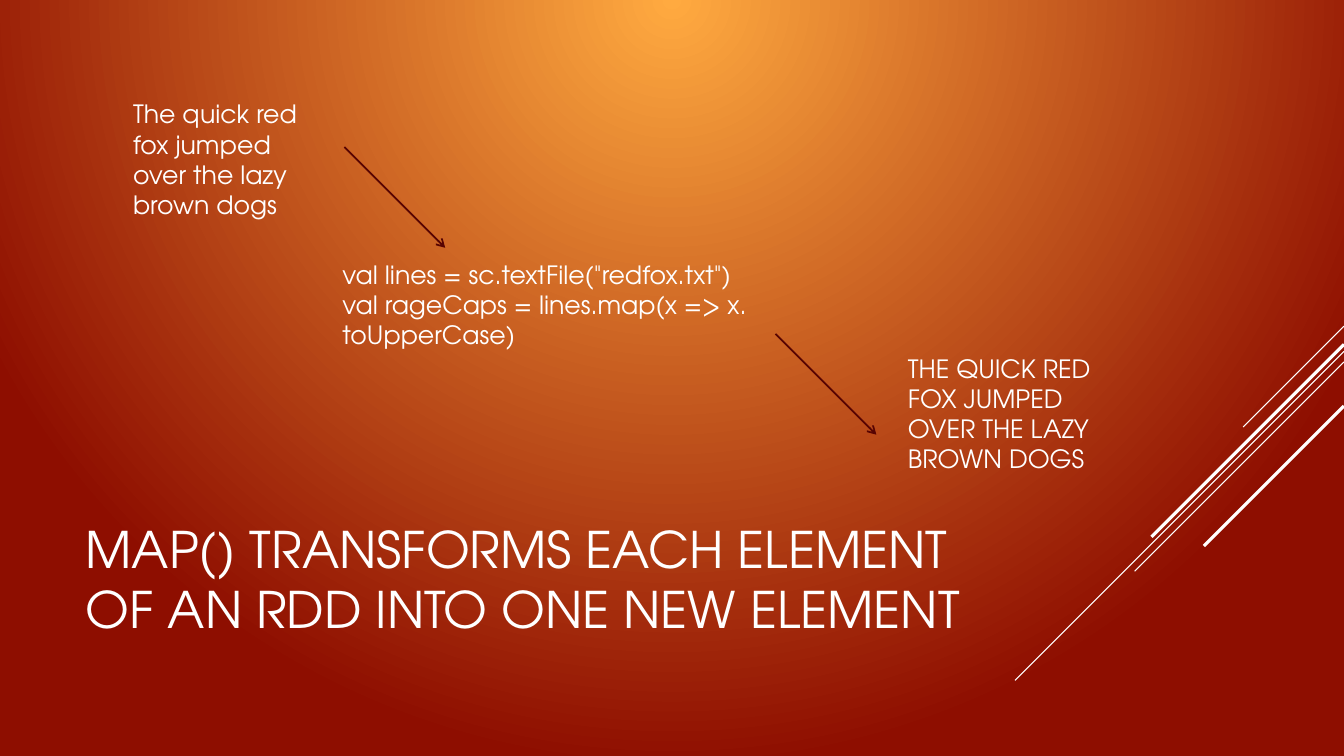
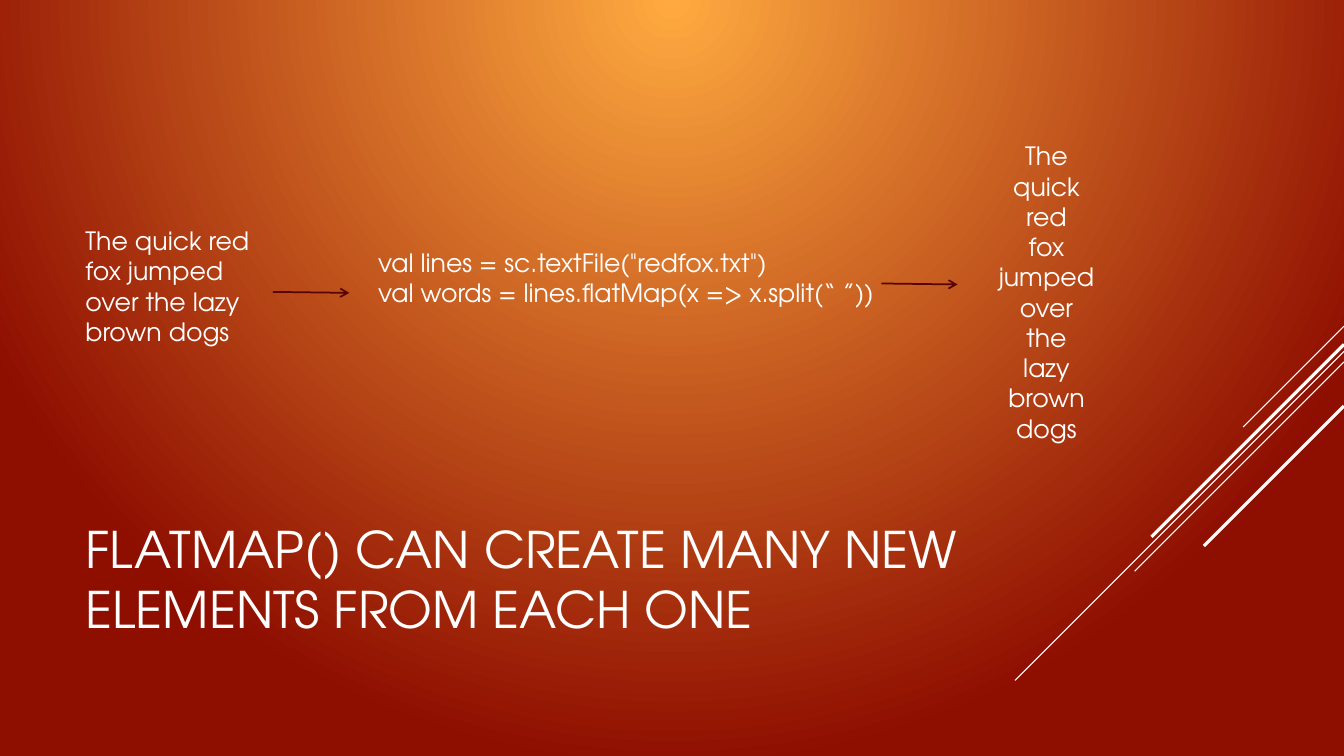
from dataclasses import dataclass

from lxml import etree
from pptx import Presentation
from pptx.dml.color import RGBColor
from pptx.enum import shapes, text
from pptx.oxml import ns
from pptx.util import Pt


@dataclass(frozen=True)
class Theme:
    font: str = "TeX Gyre Adventor"
    ink: str = "FFFFFF"
    glow: str = "FFAA40"
    edge: str = "8E0E00"
    arrow: str = "570402"
    title_size: float = 36
    body_size: float = 18
    thin: float = 0.75
    thick: float = 2.25
    arrow_width: float = 1.25


THEME = Theme()
WIDTH, HEIGHT = 960, 540
TITLE_BOX = (54, 353.5, 672, 119)
RAYS_BOX = (725, 233, 235, 253)
FLOW_BOX = (54, 67, 804, 277)
RAYS = [
    (0, 72, THEME.thin),
    (18, 235, THEME.thin),
    (25.5, 149.5, THEME.thin),
    (13, 137.5, THEME.thick),
    (57, 100, THEME.thick),
]
FOX_LINES = ["The quick red", "fox jumped", "over the lazy", "brown dogs"]
READ_LINE = 'val lines = sc.textFile("redfox.txt")'


def paint_background(master):
    fill = master.background.fill
    fill.gradient()
    for stop, position, color in zip(fill.gradient_stops, (0, 1), (THEME.glow, THEME.edge)):
        stop.position = position
        stop.color.rgb = RGBColor.from_string(color)
    gradient = master.element.find(".//" + ns.qn("a:gradFill"))
    gradient.remove(gradient.find(ns.qn("a:lin")))
    circle = etree.SubElement(gradient, ns.qn("a:path"), path="circle")
    etree.SubElement(circle, ns.qn("a:fillToRect"), l="0", t="0", r="0", b="100000")


def add_text(slide, box, lines, size=THEME.body_size, align=text.PP_ALIGN.LEFT,
             anchor=text.MSO_ANCHOR.TOP, fit=text.MSO_AUTO_SIZE.SHAPE_TO_FIT_TEXT):
    frame = slide.shapes.add_textbox(*map(Pt, box)).text_frame
    frame.word_wrap = True
    frame.auto_size = fit
    frame.vertical_anchor = anchor
    frame.text = "\n".join(lines)
    for paragraph in frame.paragraphs:
        paragraph.alignment = align
        font = paragraph.font
        font.name = THEME.font
        font.size = Pt(size)
        font.color.rgb = RGBColor.from_string(THEME.ink)


def add_line(slide, start, end, color, width, arrow=False):
    line = slide.shapes.add_connector(
        shapes.MSO_CONNECTOR.STRAIGHT, *map(Pt, (*start, *end)))
    line.line.color.rgb = RGBColor.from_string(color)
    line.line.width = Pt(width)
    if arrow:
        outline = line.line._get_or_add_ln()
        etree.SubElement(outline, ns.qn("a:tailEnd"), type="arrow")
    etree.SubElement(line.element.spPr, ns.qn("a:effectLst"))


def add_corner_rays(slide, box):
    left, top, width, _ = box
    right = left + width
    for offset, reach, weight in RAYS:
        start = (right, top + offset)
        end = (right - reach, top + offset + reach)
        add_line(slide, start, end, THEME.ink, weight)


def add_title(slide, box, title):
    add_text(slide, box, [title], size=THEME.title_size,
             anchor=text.MSO_ANCHOR.MIDDLE, fit=text.MSO_AUTO_SIZE.NONE)


def add_flow(slide, box, steps, arrows, run, drop):
    left, top, _, _ = box
    for (x, y, width, height), lines, align in steps:
        add_text(slide, (left + x, top + y, width, height), lines, align=align)
    for x, y in arrows:
        start = (left + x, top + y)
        end = (start[0] + run, start[1] + drop)
        add_line(slide, start, end, THEME.arrow, THEME.arrow_width, arrow=True)


def add_flow_slide(presentation, title, **flow):
    slide = presentation.slides.add_slide(presentation.slide_layouts[6])
    add_corner_rays(slide, RAYS_BOX)
    add_title(slide, TITLE_BOX, title)
    add_flow(slide, FLOW_BOX, **flow)


def main():
    presentation = Presentation()
    presentation.slide_width, presentation.slide_height = Pt(WIDTH), Pt(HEIGHT)
    paint_background(presentation.slide_master)
    left, center = text.PP_ALIGN.LEFT, text.PP_ALIGN.CENTER

    add_flow_slide(
        presentation,
        "MAP() TRANSFORMS EACH ELEMENT OF AN RDD INTO ONE NEW ELEMENT",
        steps=[
            ((34, 0, 216, 94.5), FOX_LINES, left),
            ((183.5, 114.5, 425, 73),
             [READ_LINE, "val rageCaps = lines.map(x => x. toUpperCase)"], left),
            ((587.5, 181.5, 216, 94.5), [line.upper() for line in FOX_LINES], left),
        ],
        arrows=[(192, 38), (500, 171.5)], run=72, drop=72,
    )
    add_flow_slide(
        presentation,
        "FLATMAP() CAN CREATE MANY NEW ELEMENTS FROM EACH ONE",
        steps=[
            ((0, 90.5, 191, 94.5), FOX_LINES, left),
            ((209, 106, 378, 94.5),
             [READ_LINE, "val words = lines.flatMap(x => x.split(“ ”))"], left),
            ((585.5, 30, 216, 247), " ".join(FOX_LINES).split(), center),
        ],
        arrows=[(141, 141.5), (575.5, 135.5)], run=54.5, drop=0.7,
    )
    presentation.save("out.pptx")


if __name__ == "__main__":
    main()
